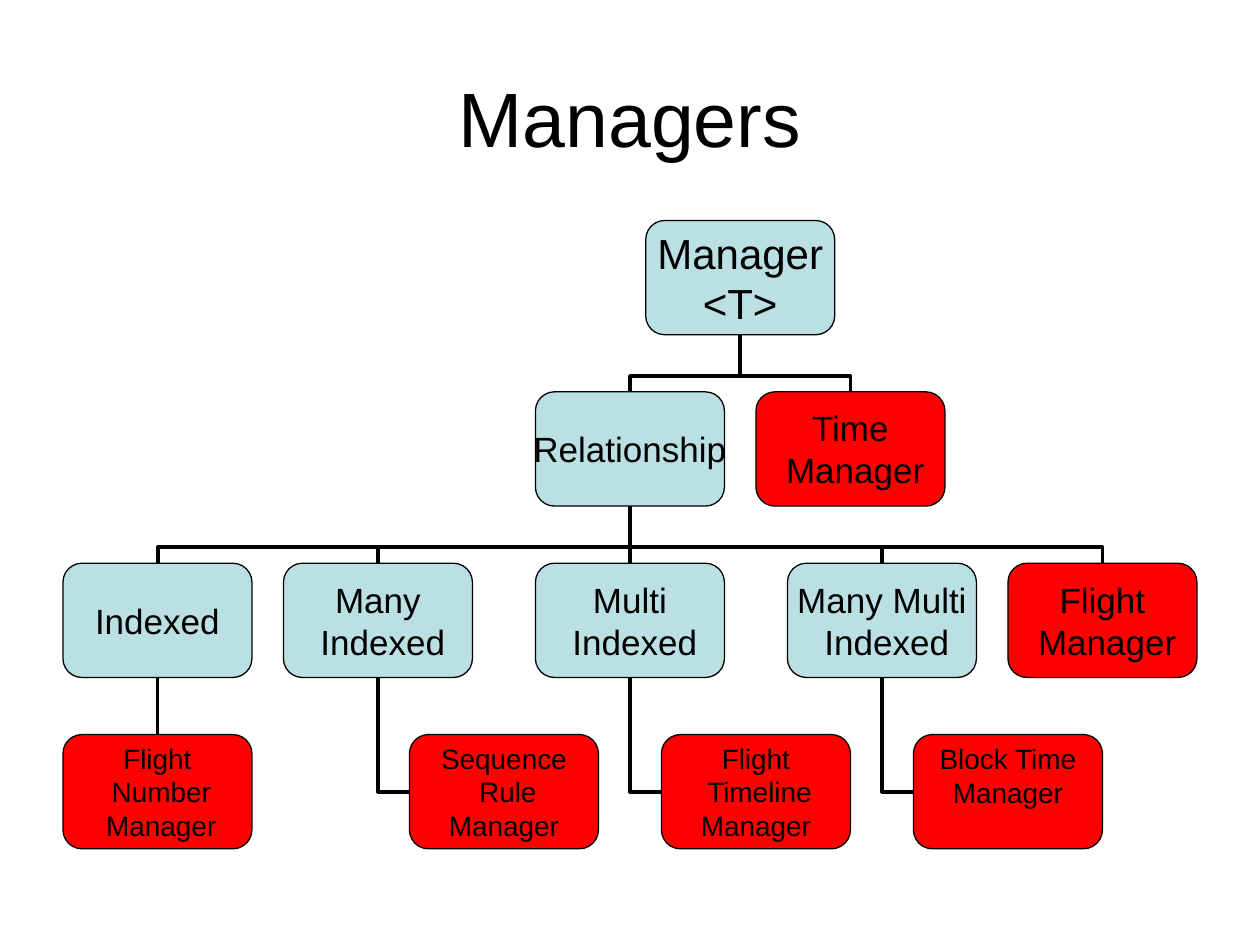
"""Build the Managers class hierarchy slide."""
from pptx import Presentation
from pptx.dml.color import RGBColor
from pptx.enum.shapes import MSO_CONNECTOR as MC, MSO_SHAPE as MS
from pptx.enum.text import MSO_ANCHOR as MA, PP_ALIGN as PA
from pptx.util import Inches, Pt
from lxml import etree

prs = Presentation()
prs.slide_width, prs.slide_height = Inches(10), Inches(7.5)
s = prs.slides.add_slide(prs.slide_layouts[6])
COL = prs.slide_width / 40
ROW = Inches(1.36) / 3
TOP = Inches(1.75)
BOX_W, BOX_H = 6 * COL, 2 * ROW
BLACK, BLUE, RED = "000000", "BBE0E3", "FF0000"
NS = "{http://schemas.openxmlformats.org/drawingml/2006/main}"


def write(tf, lines, size):
    tf.vertical_anchor = MA.MIDDLE
    for i, line in enumerate(lines):
        p = tf.paragraphs[0] if i == 0 else tf.add_paragraph()
        p.alignment = PA.CENTER
        r = p.add_run()
        r.text = line
        r.font.size, r.font.name = Pt(size), "Arial"
        r.font.color.rgb = RGBColor.from_string(BLACK)


def link(kind, x, y, w, h, preset=None, adj=None, **xfrm):
    cn = s.shapes.add_connector(kind, int(x), int(y), int(x + w), int(y + h))
    cn.line.color.rgb = RGBColor.from_string(BLACK)
    cn.line.width = Pt(2.25)
    pr = cn._element.spPr
    etree.SubElement(pr, NS + "effectLst")
    for key, value in xfrm.items():
        pr.find(NS + "xfrm").set(key, value)
    geom = pr.find(NS + "prstGeom")
    if preset:
        geom.set("prst", preset)
    if adj:
        etree.SubElement(geom.find(NS + "avLst"), NS + "gd", name="adj1", fmla=f"val {adj}")


tb = s.shapes.add_textbox(int(2 * COL), Inches(0.3), int(36 * COL), Inches(1.25))
tb.text_frame.word_wrap = True
write(tb.text_frame, ["Managers"], 44)

for col in (12, 20, 28):
    link(MC.ELBOW, col * COL, TOP + 8 * ROW, COL, 2 * ROW, "bentConnector2", rot="10800000")

branches = [(23.5, 2, 27), (20, 5, 35), (20, 5, 28), (20, 5, 12), (20, 5, 5), (23.5, 2, 20)]
for parent, row, child in branches:
    span = abs(child - parent) * COL
    x = (parent + child) / 2 * COL - ROW / 2
    y = TOP + (row + 0.5) * ROW - span / 2
    turn = {"rot": "16200000"} if child > parent else {"rot": "5400000", "flipH": "1"}
    link(MC.ELBOW, x, y, ROW, span, adj=27500, flipV="1", **turn)

for col, row in ((5, 8), (20, 5)):
    link(MC.STRAIGHT, col * COL, TOP + row * ROW, 0, ROW)

boxes = [
    (23.5, 0, BLUE, 24, ["Manager", "<T>"]),
    (20, 3, BLUE, 20, ["Relationship"]),
    (5, 6, BLUE, 20, ["Indexed"]),
    (12, 6, BLUE, 20, ["Many", " Indexed"]),
    (20, 6, BLUE, 20, ["Multi", " Indexed"]),
    (28, 6, BLUE, 20, ["Many Multi", " Indexed"]),
    (5, 9, RED, 16, ["Flight", " Number", " Manager"]),
    (35, 6, RED, 20, ["Flight", " Manager"]),
    (27, 3, RED, 20, ["Time", " Manager"]),
    (24, 9, RED, 16, ["Flight", " Timeline", "Manager"]),
    (16, 9, RED, 16, ["Sequence", " Rule", "Manager"]),
    (32, 9, RED, 16, ["Block Time", "Manager"]),
]
for col, row, fill, size, lines in boxes:
    sp = s.shapes.add_shape(MS.ROUNDED_RECTANGLE, int(col * COL - BOX_W / 2),
                            int(TOP + row * ROW), int(BOX_W), int(BOX_H))
    sp.shadow.inherit = False
    sp.fill.solid()
    sp.fill.fore_color.rgb = RGBColor.from_string(fill)
    sp.line.color.rgb = RGBColor.from_string(BLACK)
    sp.line.width = Pt(0.75)
    tf = sp.text_frame
    tf.word_wrap = False
    tf.margin_left = tf.margin_right = tf.margin_top = 0
    tf.margin_bottom = Inches(0.26) if lines[0] == "Block Time" else 0
    write(tf, lines, size)

prs.save("out.pptx")
